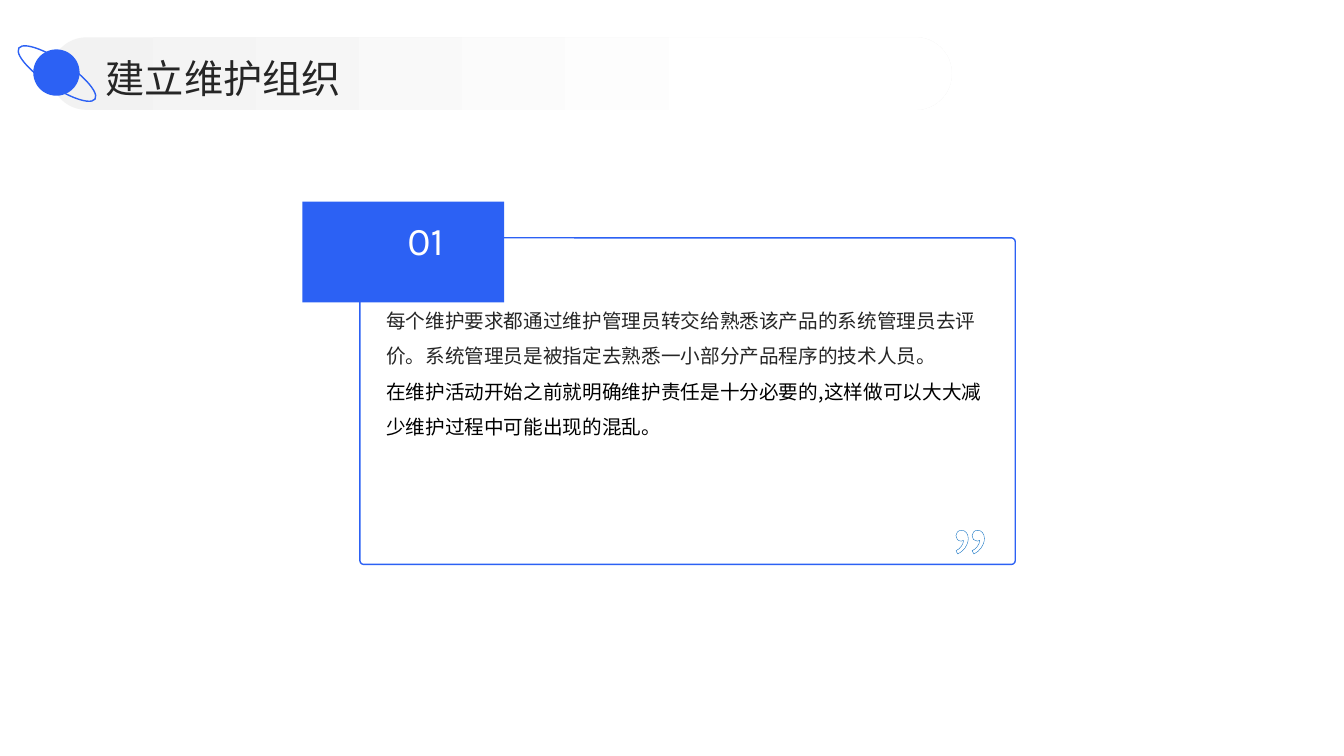
from math import cos, radians, sin

from lxml import etree
from pptx import Presentation
from pptx.dml.color import RGBColor
from pptx.enum.shapes import MSO_SHAPE
from pptx.enum.text import MSO_ANCHOR, PP_ALIGN
from pptx.oxml.ns import qn
from pptx.util import Inches, Pt

ROUND_RECT, OVAL = MSO_SHAPE.ROUNDED_RECTANGLE, MSO_SHAPE.OVAL
TOP, MIDDLE = MSO_ANCHOR.TOP, MSO_ANCHOR.MIDDLE
LEFT, CENTER = PP_ALIGN.LEFT, PP_ALIGN.CENTER
CJK, LATIN = "Noto Sans CJK SC", "Karla"
COLORS = {"blue": "2C61F4", "white": "FFFFFF", "ink": "262626",
          "black": "000000", "band": "F2F2F2", "quote": "0068BF"}


def rgb(name):
    return RGBColor.from_string(COLORS[name])


def style(s, fill=None, line=None):
    s.shadow.inherit = False
    if fill:
        s.fill.solid()
        s.fill.fore_color.rgb = rgb(fill)
    else:
        s.fill.background()
    if line:
        s.line.color.rgb = rgb(line)
        s.line.width = Pt(1)
    else:
        s.line.fill.background()


def add_shape(slide, kind, box, fill=None, line=None, adj=None):
    s = slide.shapes.add_shape(kind, *map(Inches, box))
    style(s, fill, line)
    if adj is not None:
        s.adjustments[0] = adj
    return s


def add_text(slide, box, paragraphs, size, font=CJK, spacing=1.0,
             align=LEFT, anchor=TOP):
    """Each paragraph is a (text, colour) pair; returns the last run."""
    tf = slide.shapes.add_textbox(*map(Inches, box)).text_frame
    tf.word_wrap = True
    tf.vertical_anchor = anchor
    tf.margin_left = tf.margin_right = tf.margin_top = tf.margin_bottom = 0
    for i, (text, color) in enumerate(paragraphs):
        p = tf.add_paragraph() if i else tf.paragraphs[0]
        p.alignment, p.line_spacing = align, spacing
        r = p.add_run()
        r.text = text
        r.font.size, r.font.name = Pt(size), font
        r.font.color.rgb = rgb(color)
        etree.SubElement(r.font._element, qn("a:ea")).set("typeface", font)
    return r


def outline_run(r, color):
    ln = etree.Element(qn("a:ln"), w=str(Pt(1)))
    fill = etree.SubElement(ln, qn("a:solidFill"))
    etree.SubElement(fill, qn("a:srgbClr")).set("val", COLORS[color])
    r.font._element.insert(0, ln)


def title_bar(slide, x, y, title):
    # Fading band
    band = add_shape(slide, ROUND_RECT, (x + 0.39, y, 8.94, 0.72), "band", adj=0.5)
    band.fill.gradient()
    band.fill.gradient_angle = 0
    for stop, color, position in zip(band.fill.gradient_stops,
                                     ("band", "white"), (0, 0.8)):
        stop.color.rgb = rgb(color)
        stop.position = position
    add_text(slide, (x + 0.94, y + 0.12, 11.67, 0.51), [(title, "ink")], 28,
             spacing=1.1, anchor=MIDDLE)
    # Planet and its ring
    add_shape(slide, OVAL, (x + 0.22, y + 0.12, 0.46, 0.46), "blue")
    ring = add_shape(slide, OVAL, (x, y + 0.23, 0.91, 0.26), line="blue")
    ring.rotation = 33.8


def number_tag(slide, x, y, w, h, number, radius=0.12):
    # Rounded outline, clockwise from the top left, with a pointer below
    corners = [(x + radius, y + radius, 180), (x + w - radius, y + radius, 270),
               (x + w - radius, y + h - radius, 0), (x + radius, y + h - radius, 90)]
    arcs = [[(cx + radius * cos(radians(start + turn)),
              cy + radius * sin(radians(start + turn)))
             for turn in range(0, 91, 10)] for cx, cy, start in corners]
    pointer = [(x + 0.49, y + h), (x + 0.42, y + h + 0.13), (x + 0.34, y + h)]
    points = arcs[0] + arcs[1] + arcs[2] + pointer + arcs[3]
    builder = slide.shapes.build_freeform(*points[0], scale=Inches(1))
    builder.add_line_segments(points[1:], close=True)
    style(builder.convert_to_shape(), "blue")
    add_text(slide, (x + 0.18, y, w - 0.37, h), [(number, "white")], 28, LATIN,
             spacing=1.3, align=CENTER, anchor=MIDDLE)


def quote_card(slide, x, y, w, h, number, paragraphs):
    add_shape(slide, ROUND_RECT, (x, y, w, h), "white", "blue", 0.012)
    add_text(slide, (x + 0.26, y + 0.59, w - 0.52, h - 0.79), paragraphs, 14,
             spacing=1.5)
    # Closing quotation mark
    mark = add_text(slide, (x + w - 0.62, y + h - 0.77, 0.72, 0.58),
                    [("”", "white")], 60, spacing=1.3, align=CENTER)
    outline_run(mark, "quote")
    number_tag(slide, x - 0.42, y - 0.4, 2.15, 0.69, number)


def main():
    prs = Presentation()
    prs.slide_width, prs.slide_height = Inches(13.33), Inches(7.5)
    slide = prs.slides.add_slide(prs.slide_layouts[6])
    quote_card(slide, 3.57, 2.36, 6.5, 3.24, "01", [
        ("每个维护要求都通过维护管理员转交给熟悉该产品的系统管理员去评价。"
         "系统管理员是被指定去熟悉一小部分产品程序的技术人员。", "ink"),
        ("在维护活动开始之前就明确维护责任是十分必要的,"
         "这样做可以大大减少维护过程中可能出现的混乱。", "black"),
    ])
    title_bar(slide, 0.11, 0.37, "建立维护组织")
    prs.save("out.pptx")


if __name__ == "__main__":
    main()
